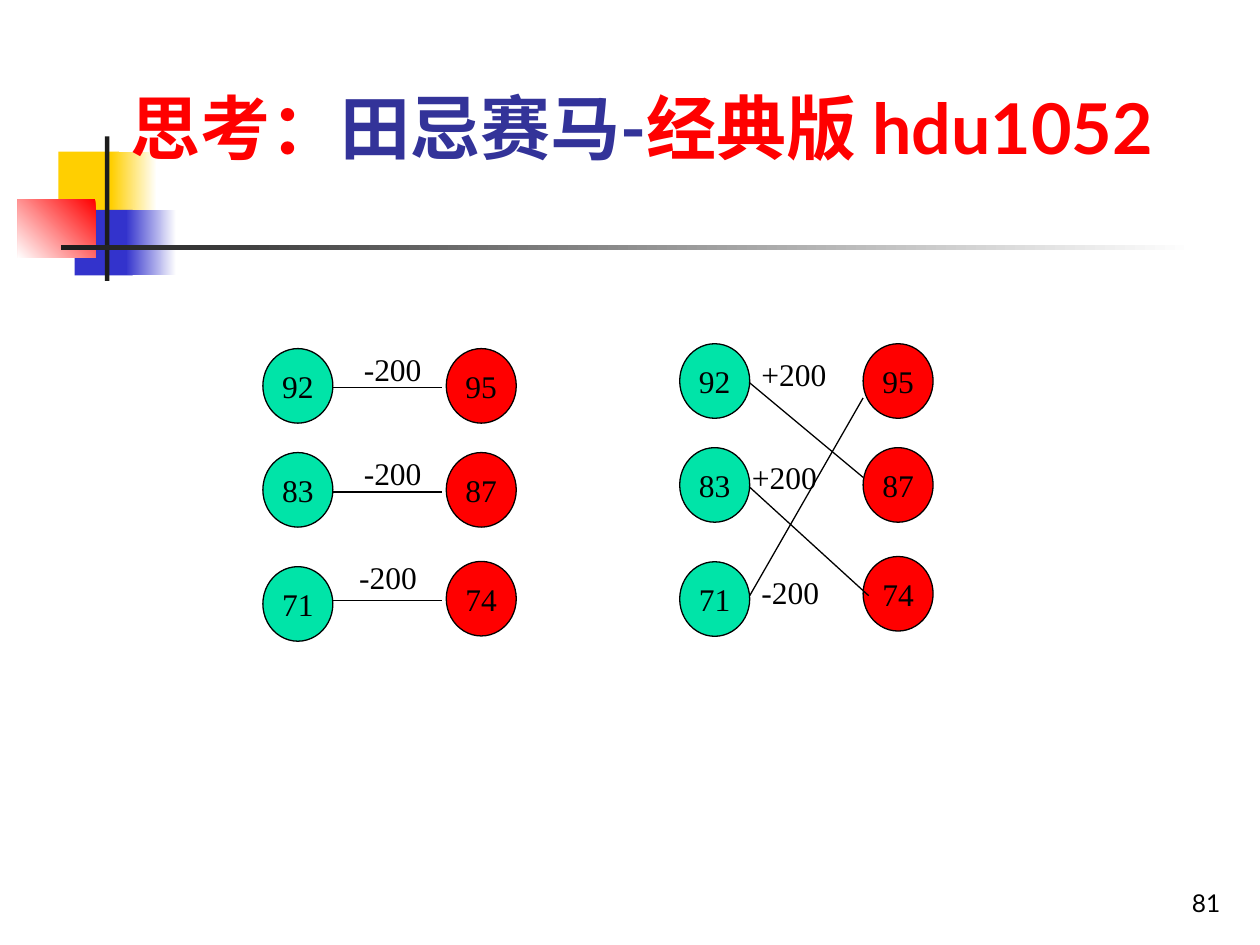
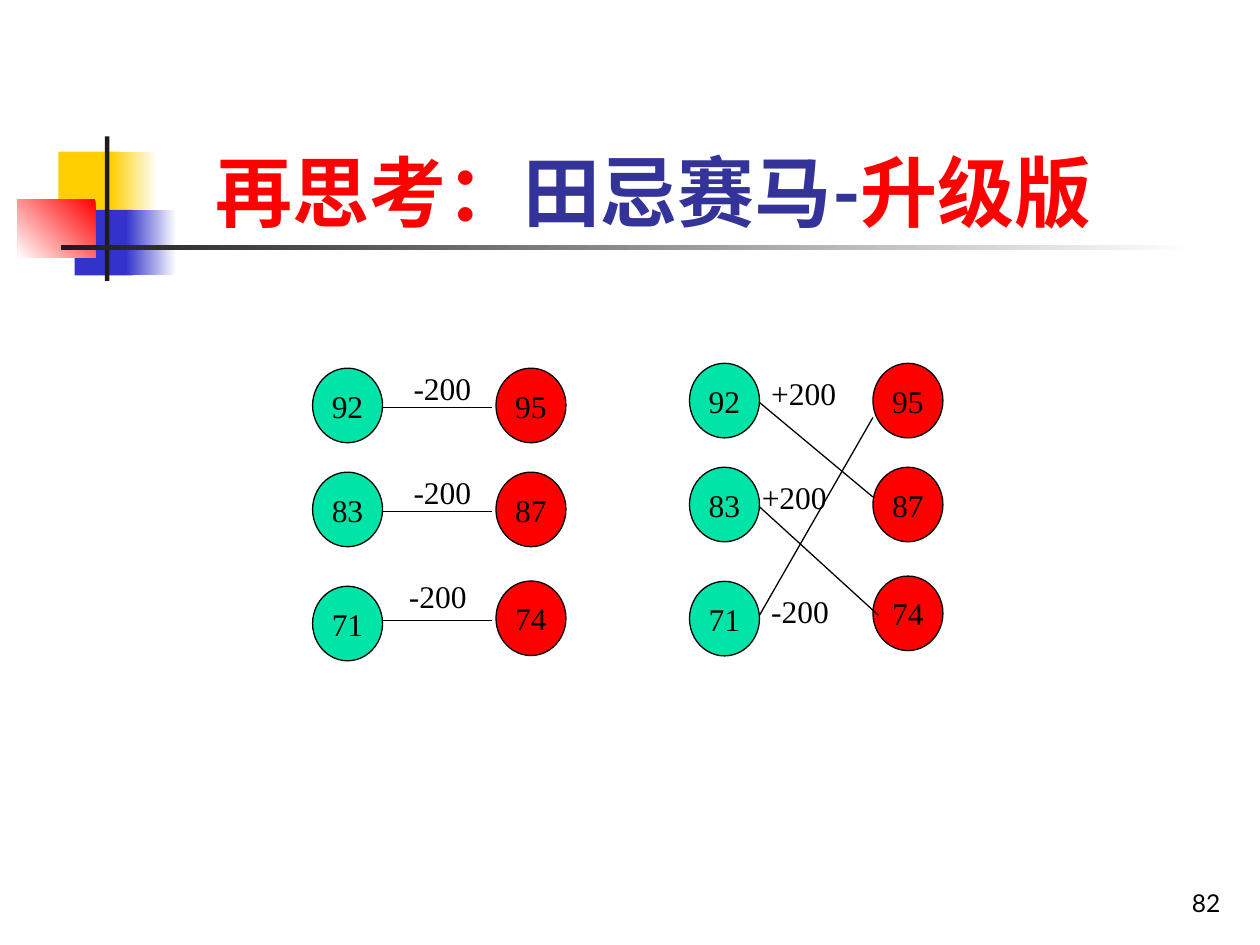
from dataclasses import dataclass

from lxml.etree import SubElement
from pptx import Presentation
from pptx.dml.color import RGBColor
from pptx.enum.shapes import MSO_CONNECTOR, MSO_SHAPE
from pptx.enum.text import MSO_ANCHOR, MSO_AUTO_SIZE, PP_ALIGN
from pptx.oxml.ns import qn
from pptx.util import Pt


@dataclass(frozen=True)
class Theme:
    red: str = "FF0000"
    green: str = "00E4A8"
    yellow: str = "FFCF01"
    blue: str = "3333CC"
    title_blue: str = "333399"
    dark: str = "1C1C1C"
    black: str = "000000"
    white: str = "FFFFFF"
    title_font: str = "Lato"
    body_font: str = "Times New Roman"
    body_size: float = 18
    number_size: float = 14
    line_width: float = 0.75


THEME = Theme()
TITLE_ONLY = 5

HORSE_W, HORSE_H = 40, 42.6
RIVAL_X = 104.8
OURS = (("92", 0), ("83", 59.4), ("71", 124.6))
RIVALS = (("95", 0), ("87", 59.4), ("74", 121.6))
RACE_YS = (22.4, 82, 144)
LABEL_H = 29

STRAIGHT = dict(
    races=[(HORSE_W, y, 102.4, y) for y in RACE_YS],
    prizes=[("-200", 50.6, -3, 51), ("-200", 50.6, 56.4, 51), ("-200", 48, 116, 51)],
)
CROSSED = dict(
    races=[
        (HORSE_W, RACE_YS[0], RIVAL_X, 76.4),
        (HORSE_W, RACE_YS[1], 108, 144),
        (HORSE_W, RACE_YS[2], RIVAL_X, 31),
    ],
    prizes=[("-200", 39.6, 127.4, 51), ("+200", 34.2, 62, 60), ("+200", 39.6, 2.8, 57)],
)

SLIDES = (
    dict(
        number="81", title_box=(67.6, 28.8, 638, 71.2), title_size=40,
        title=("思考：", "田忌赛马-", "经典版 hdu1052"),
        matchups=((STRAIGHT, 150.2, 199.2), (CROSSED, 388.4, 196.4)),
    ),
    dict(
        number="82", title_box=(116, 49, 533, 90), title_size=44,
        title=("再思考：", "田忌赛马-", "升级版"),
        matchups=((STRAIGHT, 178.6, 210.4), (CROSSED, 394, 207.6)),
    ),
)


def rgb(color):
    return RGBColor.from_string(color)


def pts(*lengths):
    return [Pt(length) for length in lengths]


def add_run(p, text, font, size, color, bold=False):
    r = p.add_run()
    r.text = text
    r.font.name = font
    r.font.size = Pt(size)
    r.font.bold = bold
    r.font.color.rgb = rgb(color)


def add_preset(shapes, kind, box, color):
    sp = shapes.add_shape(kind, *pts(*box))
    sp.shadow.inherit = False
    sp.fill.solid()
    sp.fill.fore_color.rgb = rgb(color)
    sp.line.fill.background()
    return sp


def add_ornament(slide, layout, x, y):
    t = THEME
    bars = (
        ((23.4, 8.6, 34.6, 37.4), t.yellow, None, 0),
        ((53.6, 8.6, 26, 37.4), t.white, t.yellow, 180),
        ((32.6, 42, 33.2, 37.4), t.blue, None, 0),
        ((62, 42, 28.8, 37.4), t.white, t.blue, 180),
        ((0, 36, 44.6, 33.4), t.red, t.white, 225),
        ((50, 0, 2.6, 82.6), t.dark, None, 0),
        ((24.6, 62, 648, 2.8), t.white, t.dark, 180),
    )
    for i, ((dx, dy, w, h), color, end_color, angle) in enumerate(bars):
        sp = add_preset(slide.shapes, MSO_SHAPE.RECTANGLE, (x + dx, y + dy, w, h), color)
        if end_color:
            sp.fill.gradient()
            sp.fill.gradient_angle = angle
            for stop, stop_color in zip(sp.fill.gradient_stops, (color, end_color)):
                stop.color.rgb = rgb(stop_color)
        sp.element.nvSpPr.cNvPr.id = 100 + i
        layout.shapes.element.append(sp.element)


def format_title(slide, box, parts, size):
    sp = slide.shapes.title
    sp.left, sp.top, sp.width, sp.height = pts(*box)
    tf = sp.text_frame
    tf.word_wrap = True
    tf.auto_size = MSO_AUTO_SIZE.NONE
    tf.vertical_anchor = MSO_ANCHOR.BOTTOM
    p = tf.paragraphs[0]
    p.alignment = PP_ALIGN.LEFT
    for text, color in zip(parts, (THEME.red, THEME.title_blue, THEME.red)):
        add_run(p, text, THEME.title_font, size, color, bold=True)


def add_horse(shapes, x, y, speed, color):
    sp = add_preset(shapes, MSO_SHAPE.OVAL, (x, y, HORSE_W, HORSE_H), color)
    sp.line.color.rgb = rgb(THEME.black)
    sp.line.width = Pt(THEME.line_width)
    tf = sp.text_frame
    tf.word_wrap = False
    tf.vertical_anchor = MSO_ANCHOR.MIDDLE
    p = tf.paragraphs[0]
    p.alignment = PP_ALIGN.CENTER
    add_run(p, speed, THEME.body_font, THEME.body_size, THEME.black)


def add_race(shapes, x1, y1, x2, y2):
    line = shapes.add_connector(MSO_CONNECTOR.STRAIGHT, *pts(x1, y1, x2, y2))
    line.line.color.rgb = rgb(THEME.black)
    line.line.width = Pt(THEME.line_width)
    SubElement(line.element.spPr, qn("a:effectLst"))


def add_prize(shapes, x, y, w, text):
    tf = shapes.add_textbox(*pts(x, y, w, LABEL_H)).text_frame
    tf.word_wrap = True
    tf.auto_size = MSO_AUTO_SIZE.SHAPE_TO_FIT_TEXT
    p = tf.paragraphs[0]
    p.space_before = Pt(11.2)
    add_run(p, text, THEME.body_font, THEME.body_size, THEME.black)


def add_matchup(slide, x, y, races, prizes):
    shapes = slide.shapes.add_group_shape().shapes
    for horses, dx, color in ((OURS, 0, THEME.green), (RIVALS, RIVAL_X, THEME.red)):
        for speed, dy in horses:
            add_horse(shapes, x + dx, y + dy, speed, color)
    for x1, y1, x2, y2 in races:
        add_race(shapes, x + x1, y + y1, x + x2, y + y2)
    for text, dx, dy, w in prizes:
        add_prize(shapes, x + dx, y + dy, w, text)


def add_slide_number(slide, box, number):
    tf = slide.shapes.add_textbox(*pts(*box)).text_frame
    tf.word_wrap = True
    tf.vertical_anchor = MSO_ANCHOR.BOTTOM
    p = tf.paragraphs[0]
    p.alignment = PP_ALIGN.RIGHT
    add_run(p, number, THEME.title_font, THEME.number_size, THEME.black)


def add_race_slide(prs, content):
    slide = prs.slides.add_slide(prs.slide_layouts[TITLE_ONLY])
    format_title(slide, content["title_box"], content["title"], content["title_size"])
    for matchup, x, y in content["matchups"]:
        add_matchup(slide, x, y, **matchup)
    add_slide_number(slide, (554.4, 491.8, 150, 36), content["number"])
    return slide


def main():
    prs = Presentation()
    prs.slide_width, prs.slide_height = pts(720, 540)
    slides = [add_race_slide(prs, content) for content in SLIDES]
    add_ornament(slides[0], prs.slide_layouts[TITLE_ONLY], 10, 78)
    prs.save("out.pptx")


if __name__ == "__main__":
    main()
